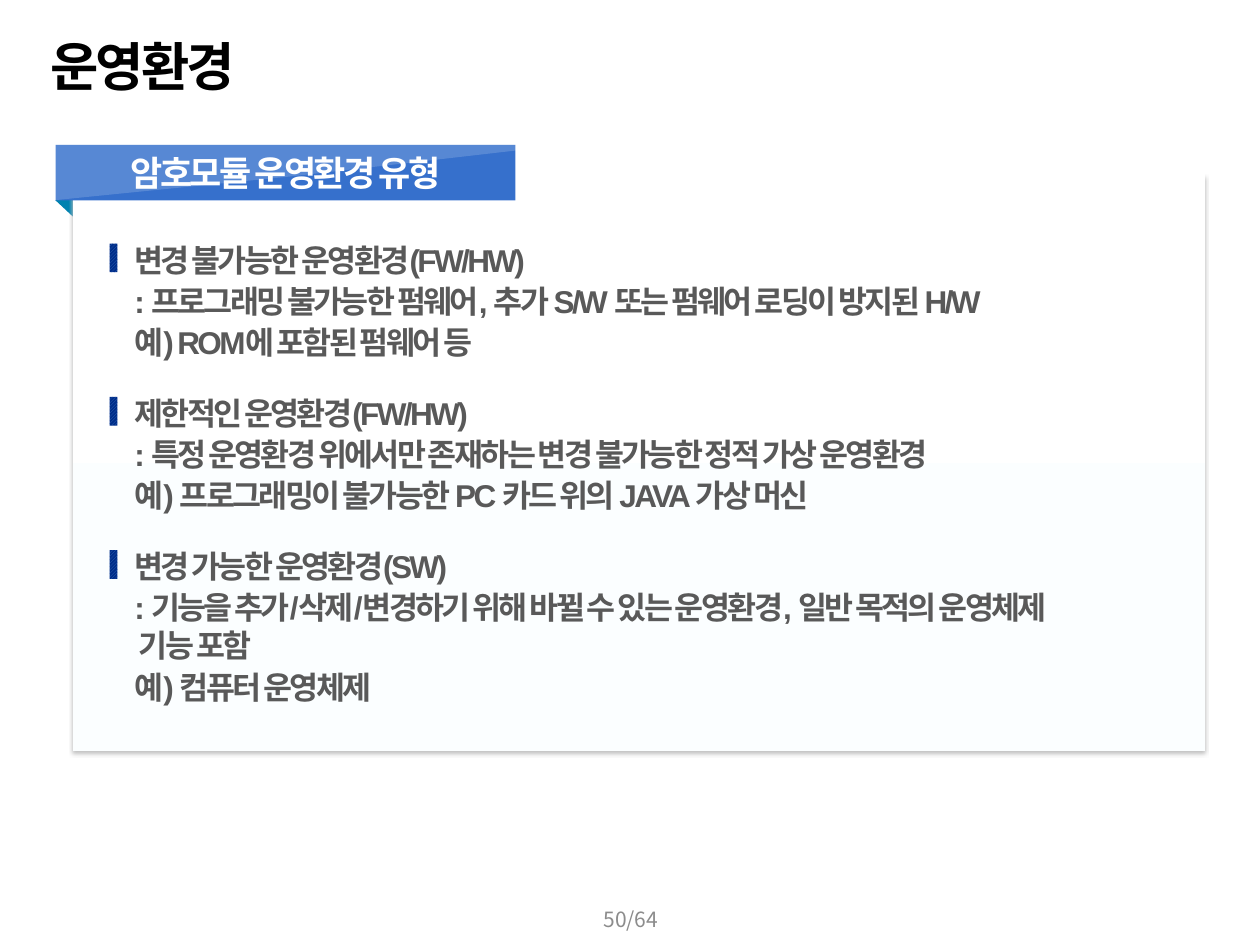
from dataclasses import dataclass

from lxml import etree
from pptx import Presentation
from pptx.dml.color import RGBColor
from pptx.enum.dml import MSO_PATTERN
from pptx.enum.shapes import MSO_SHAPE
from pptx.enum.text import MSO_ANCHOR, MSO_AUTO_SIZE, PP_ALIGN
from pptx.oxml.ns import qn
from pptx.util import Cm, Pt

RECTANGLE = MSO_SHAPE.RECTANGLE
TRIANGLE = MSO_SHAPE.RIGHT_TRIANGLE
DIAGONAL = MSO_PATTERN.LIGHT_UPWARD_DIAGONAL
LEFT, CENTER = PP_ALIGN.LEFT, PP_ALIGN.CENTER
TOP, MIDDLE = MSO_ANCHOR.TOP, MSO_ANCHOR.MIDDLE
GROW, FIXED = MSO_AUTO_SIZE.SHAPE_TO_FIT_TEXT, MSO_AUTO_SIZE.NONE

TITLE = "운영환경"
BANNER_LABEL = "암호모듈 운영환경 유형"
PAGE_NUMBER = "50/64"
ENVIRONMENTS = [
    [
        "변경 불가능한 운영환경(FW/HW)",
        ": 프로그래밍 불가능한 펌웨어, 추가 S/W 또는 펌웨어 로딩이 방지된 H/W",
        "예) ROM에 포함된 펌웨어 등",
    ],
    [
        "제한적인 운영환경(FW/HW)",
        ": 특정 운영환경 위에서만 존재하는 변경 불가능한 정적 가상 운영환경",
        "예) 프로그래밍이 불가능한 PC 카드 위의 JAVA 가상 머신",
    ],
    [
        "변경 가능한 운영환경(SW)",
        ": 기능을 추가/삭제/변경하기 위해 바뀔 수 있는 운영환경, 일반 목적의 운영체제\n 기능 포함",
        "예) 컴퓨터 운영체제",
    ],
]
ITEM_LEFT, ITEM_TOP, ITEM_PITCH = 2.21, 4.85, 3.09
ITEM_WIDTH, ITEM_LINE = 22.05, 0.81


@dataclass(frozen=True)
class Theme:
    latin: str = "Arial"
    korean: str = "Noto Sans CJK KR"
    black: str = "000000"
    white: str = "FFFFFF"
    body: str = "595959"
    page: str = "8C8C8C"
    banner: str = "3670CC"
    fold: str = "0082B0"
    card_end: str = "FBFEFF"
    shadow: str = "BFBFBF"
    marker_front: str = "2E64B4"
    marker_back: str = "002D89"
    title_size: int = 30
    label_size: int = 20
    body_size: int = 18
    page_size: int = 12
    tracking: int = -150


THEME = Theme()


def color(value):
    return RGBColor.from_string(value)


def add_block(shapes, preset, box, fill=None):
    shape = shapes.add_shape(preset, *map(Cm, box))
    shape.shadow.inherit = False
    shape.line.fill.background()
    if fill:
        shape.fill.solid()
        shape.fill.fore_color.rgb = color(fill)
    return shape


def add_text(shapes, box, lines, size, ink, bold=True, font=THEME.latin, tracking=THEME.tracking,
             insets=(0, 0, 0, 0), align=LEFT, anchor=TOP, wrap=True, auto_size=FIXED):
    frame = shapes.add_textbox(*map(Cm, box)).text_frame
    frame.word_wrap = wrap
    frame.auto_size = auto_size
    frame.vertical_anchor = anchor
    frame.margin_left, frame.margin_top, frame.margin_right, frame.margin_bottom = map(Cm, insets)
    for index, line in enumerate(lines):
        paragraph = frame.add_paragraph() if index else frame.paragraphs[0]
        paragraph.alignment = align
        paragraph.space_before = Pt(2 if index else 0)
        for part_index, part in enumerate(line.split("\n")):
            if part_index:
                paragraph.add_line_break()
            run = paragraph.add_run()
            run.text = part
            run.font.size = Pt(size)
            run.font.bold = bold
            run.font.name = font
            run.font.color.rgb = color(ink)
            properties = run._r.get_or_add_rPr()
            properties.set("spc", str(tracking))
            etree.SubElement(properties, qn("a:ea")).set("typeface", THEME.korean)


def add_card(shapes):
    card = add_block(shapes, RECTANGLE, (1.47, 3.51, 22.83, 11.63))
    card.fill.gradient()
    card.fill.gradient_angle = 270
    for stop, value, position in zip(card.fill.gradient_stops, (THEME.white, THEME.card_end), (0, 1)):
        stop.color.rgb = color(value)
        stop.position = position
    effects = card._element.spPr.find(qn("a:effectLst"))
    shadow = etree.SubElement(effects, qn("a:outerShdw"), blurRad=str(Pt(2)), dist=str(Pt(2)),
                              dir="5400000", algn="t", rotWithShape="0")
    etree.SubElement(shadow, qn("a:srgbClr"), val=THEME.shadow)


def add_banner(shapes):
    add_block(shapes, RECTANGLE, (1.12, 2.92, 9.27, 1.12), THEME.banner)
    corners = [(Cm(x), Cm(y)) for x, y in [(1.07, 2.92), (11.4, 2.92), (5.84, 3.56), (1.07, 4.04)]]
    builder = shapes.build_freeform(*corners[0])
    builder.add_line_segments(corners[1:], close=True)
    gloss = builder.convert_to_shape()
    gloss.shadow.inherit = False
    gloss.line.fill.background()
    gloss.fill.solid()
    gloss.fill.fore_color.rgb = color(THEME.white)
    paint = gloss._element.spPr.find(qn("a:solidFill"))[0]
    etree.SubElement(paint, qn("a:alpha"), val="17000")
    add_text(shapes, (2.26, 3.05, 6.99, 0.86), [BANNER_LABEL], THEME.label_size, THEME.white,
             align=CENTER, anchor=MIDDLE, wrap=False, auto_size=GROW)


def add_environment(shapes, top, lines):
    group = shapes.add_group_shape().shapes
    line_count = sum(line.count("\n") + 1 for line in lines)
    add_text(group, (ITEM_LEFT, top, ITEM_WIDTH, line_count * ITEM_LINE), lines,
             THEME.body_size, THEME.body, insets=(0.5, 0, 0.1, 0), auto_size=GROW)
    marker = add_block(group, RECTANGLE, (ITEM_LEFT, top + 0.06, 0.16, 0.58))
    marker.fill.patterned()
    marker.fill.pattern = DIAGONAL
    marker.fill.fore_color.rgb = color(THEME.marker_front)
    marker.fill.back_color.rgb = color(THEME.marker_back)


def main():
    presentation = Presentation()
    presentation.slide_width, presentation.slide_height = Cm(25.4), Cm(19.05)
    shapes = presentation.slides.add_slide(presentation.slide_layouts[6]).shapes

    add_text(shapes, (0.61, 0.56, 7.98, 1.45), [TITLE], THEME.title_size, THEME.black,
             insets=(0.4, 0.13, 0.25, 0.13), wrap=False)
    fold = add_block(shapes, TRIANGLE, (1.14, 4.01, 0.69, 0.74), THEME.fold)
    fold.rotation = 270
    fold._element.spPr.find(qn("a:xfrm")).set("flipH", "1")
    add_card(shapes)
    add_banner(shapes)
    for index, lines in enumerate(ENVIRONMENTS):
        add_environment(shapes, ITEM_TOP + index * ITEM_PITCH, lines)
    add_text(shapes, (9.86, 18.01, 5.72, 1.02), [PAGE_NUMBER], THEME.page_size, THEME.page,
             bold=False, font=THEME.korean, tracking=0, insets=(0.25, 0.13, 0.25, 0.13),
             align=CENTER, anchor=MIDDLE)
    presentation.save("out.pptx")


if __name__ == "__main__":
    main()
